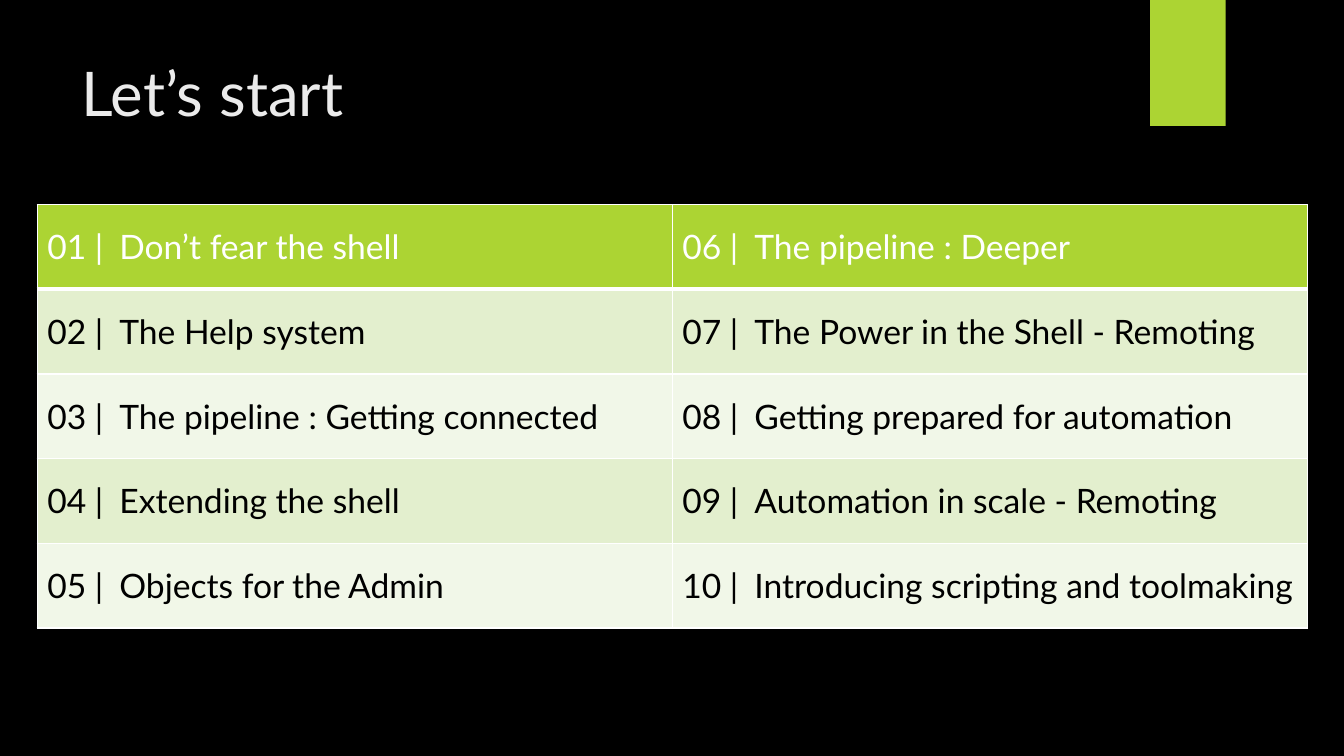
from dataclasses import dataclass

import pptx
import pptx.dml.color
import pptx.enum.shapes
import pptx.enum.text
import pptx.oxml
import pptx.oxml.ns
import pptx.util
from pptx.util import Pt

FONT = "Lato"
COLORS = {
    "background": "000000",
    "accent": "ACD433",
    "title": "EBEBEB",
    "header_text": "FFFFFF",
    "body_text": "000000",
    "odd_row": "E3EFCE",
    "even_row": "F1F7E8",
    "border": "FFFFFF",
}
ROWS = 5
COLUMN_WIDTH = 453.6
ROW_HEIGHT = 60.48
TOPIC_TAB = 51.5


@dataclass(frozen=True)
class Chapter:
    number: int
    topic: str


CHAPTERS = [
    Chapter(number, topic)
    for number, topic in enumerate(
        (
            "Don’t fear the shell",
            "The Help system",
            "The pipeline : Getting connected",
            "Extending the shell",
            "Objects for the Admin",
            "The pipeline : Deeper",
            "The Power in the Shell - Remoting",
            "Getting prepared for automation",
            "Automation in scale - Remoting",
            "Introducing scripting and toolmaking",
        ),
        start=1,
    )
]


def rgb(name: str) -> pptx.dml.color.RGBColor:
    return pptx.dml.color.RGBColor.from_string(COLORS[name])


def paint(fill, color: str) -> None:
    fill.solid()
    fill.fore_color.rgb = rgb(color)


def add_run(paragraph, text: str, size: float, color: str) -> None:
    run = paragraph.add_run()
    run.text = text
    run.font.name = FONT
    run.font.size = Pt(size)
    run.font.bold = False
    run.font.color.rgb = rgb(color)


def add_tab_stop(paragraph, position: float) -> None:
    tabs = pptx.oxml.parse_xml(
        f'<a:tabLst {pptx.oxml.ns.nsdecls("a")}>'
        f'<a:tab pos="{Pt(position)}" algn="l"/></a:tabLst>'
    )
    paragraph._p.get_or_add_pPr().append(tabs)


def set_borders(cell, bottom_width: float) -> None:
    """Border all four sides; the bottom one may be heavier."""
    properties = cell._tc.get_or_add_tcPr()
    widths = {"lnL": 1, "lnR": 1, "lnT": 1, "lnB": bottom_width}
    for index, (side, width) in enumerate(widths.items()):
        line = pptx.oxml.parse_xml(
            f'<a:{side} {pptx.oxml.ns.nsdecls("a")} w="{Pt(width)}"><a:solidFill>'
            f'<a:srgbClr val="{COLORS["border"]}"/></a:solidFill></a:{side}>'
        )
        properties.insert(index, line)


def fill_chapter_cell(cell, chapter: Chapter, row: int) -> None:
    is_header = row == 0
    row_color = "accent" if is_header else "odd_row" if row % 2 else "even_row"
    paint(cell.fill, row_color)
    set_borders(cell, bottom_width=3 if is_header else 1)
    cell.vertical_anchor = pptx.enum.text.MSO_ANCHOR.MIDDLE
    paragraph = cell.text_frame.paragraphs[0]
    add_tab_stop(paragraph, TOPIC_TAB)
    text_color = "header_text" if is_header else "body_text"
    add_run(paragraph, f"{chapter.number:02d} |\t{chapter.topic}", 24, text_color)


def add_accent_tab(slide) -> None:
    accent_tab = slide.shapes.add_shape(
        pptx.enum.shapes.MSO_SHAPE.RECTANGLE, Pt(821.5), Pt(0), Pt(54), Pt(90)
    )
    accent_tab.shadow.inherit = False
    paint(accent_tab.fill, "accent")
    accent_tab.line.fill.background()


def add_title(slide) -> None:
    title = slide.shapes.add_textbox(Pt(51.1), Pt(36), Pt(740.9), Pt(110.2))
    title.text_frame.word_wrap = True
    title.text_frame.vertical_anchor = pptx.enum.text.MSO_ANCHOR.TOP
    add_run(title.text_frame.paragraphs[0], "Let’s start", 44, "title")


def add_agenda(slide) -> None:
    columns = len(CHAPTERS) // ROWS
    agenda = slide.shapes.add_table(
        ROWS, columns, Pt(26.6), Pt(146.2),
        Pt(COLUMN_WIDTH * columns), Pt(ROW_HEIGHT * ROWS),
    ).table
    for column in agenda.columns:
        column.width = Pt(COLUMN_WIDTH)
    for table_row in agenda.rows:
        table_row.height = Pt(ROW_HEIGHT)
    for index, chapter in enumerate(CHAPTERS):
        column_index, row = divmod(index, ROWS)
        fill_chapter_cell(agenda.cell(row, column_index), chapter, row)


def main() -> None:
    presentation = pptx.Presentation()
    presentation.slide_width = Pt(960)
    presentation.slide_height = Pt(540)
    slide = presentation.slides.add_slide(presentation.slide_layouts[6])
    paint(slide.background.fill, "background")
    add_accent_tab(slide)
    add_title(slide)
    add_agenda(slide)
    presentation.save("out.pptx")


if __name__ == "__main__":
    main()
